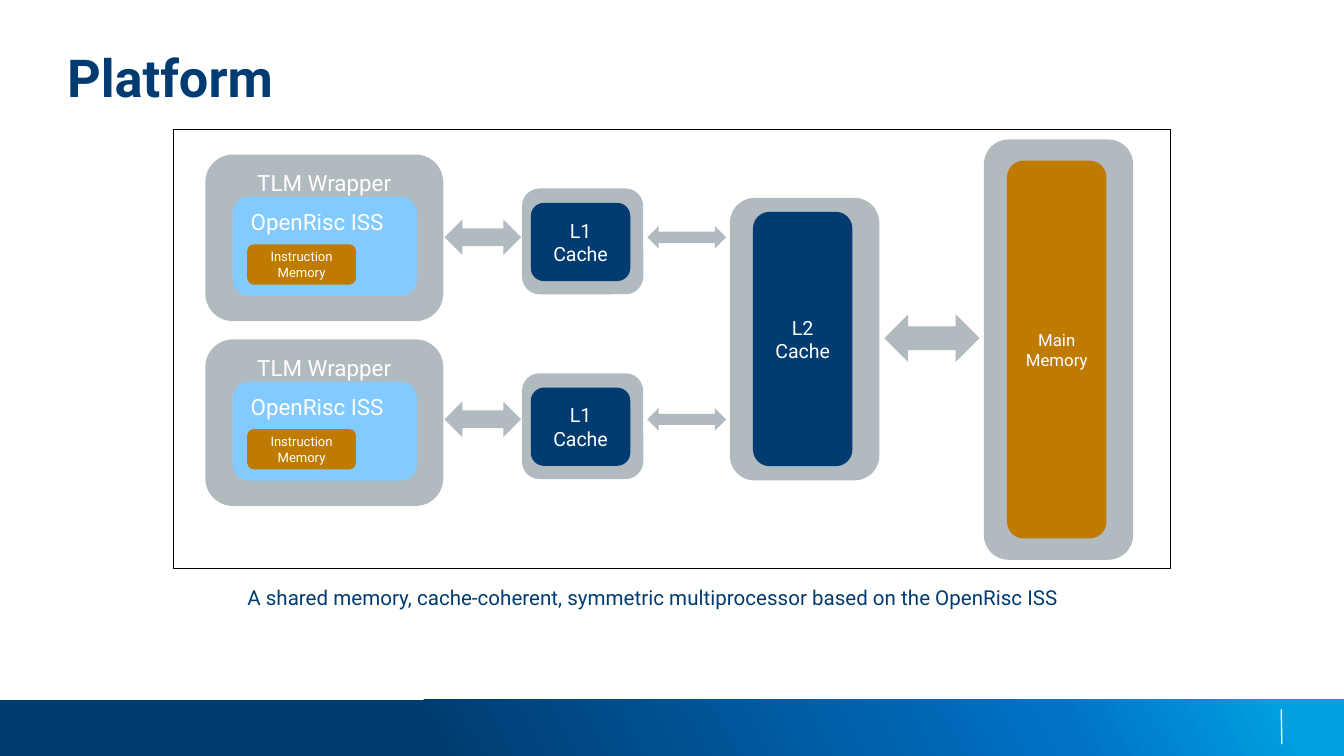
import copy

import lxml.etree
import pptx
import pptx.dml.color
import pptx.enum.shapes
import pptx.enum.text
import pptx.oxml.ns
import pptx.util

Pt = pptx.util.Pt
SHAPE = pptx.enum.shapes.MSO_SHAPE
ALIGN = pptx.enum.text.PP_ALIGN
ANCHOR = pptx.enum.text.MSO_ANCHOR

NAVY, SKY, AMBER, GREY, WHITE = "003C71", "82CAFF", "BF7A00", "B1BABF", "FFFFFF"
BAND_STOPS = [(0.32, NAVY), (0.78, "0071C5"), (0.95, "009FDF")]
CORE_TOPS = [82.8, 181.8]
ARROW_MIDDLES = [127.1, 224.7]


def color(hex_string):
    return pptx.dml.color.RGBColor.from_string(hex_string)


def apply(target, values):
    for name, value in values.items():
        setattr(target, name, value)


def write(frame, text, size, ink=WHITE, bold=False, align=ALIGN.LEFT, **frame_format):
    apply(frame, {"word_wrap": True, **frame_format})
    paragraph = frame.paragraphs[0]
    paragraph.alignment = align
    run = paragraph.add_run()
    run.text = text
    apply(run.font, {"name": "Roboto", "size": Pt(size), "bold": bold})
    run.font.color.rgb = color(ink)


def add_figure(slide, kind, left, top, width, height, fill):
    figure = slide.shapes.add_shape(kind, Pt(left), Pt(top), Pt(width), Pt(height))
    figure.shadow.inherit = False
    figure.fill.solid()
    figure.fill.fore_color.rgb = color(fill)
    figure.line.fill.background()
    return figure


def add_block(slide, left, top, width, height, fill, text=None, size=10.5,
              align=ALIGN.CENTER, anchor=ANCHOR.MIDDLE):
    block = add_figure(slide, SHAPE.ROUNDED_RECTANGLE, left, top, width, height, fill)
    if text:
        write(block.text_frame, text, size, align=align, vertical_anchor=anchor)


def add_bus(slide, left, middle, width, height):
    add_figure(slide, SHAPE.LEFT_RIGHT_ARROW, left, middle - height / 2, width, height, GREY)


def add_label(slide, left, top, width, height, text, size, **text_format):
    box = slide.shapes.add_textbox(Pt(left), Pt(top), Pt(width), Pt(height))
    margins = {f"margin_{side}": 0 for side in ("left", "top", "right", "bottom")}
    write(box.text_frame, text, size, NAVY, vertical_anchor=ANCHOR.TOP,
          **margins, **text_format)


def add_footer(slide):
    band = add_figure(slide, SHAPE.RECTANGLE, 0, 375, 720, 30, NAVY)
    band.fill.gradient()
    band.fill.gradient_angle = 29
    stop_list = band._element.spPr.find(".//" + pptx.oxml.ns.qn("a:gsLst"))
    stop_list.append(copy.deepcopy(stop_list[-1]))
    for stop, (position, shade) in zip(band.fill.gradient_stops, BAND_STOPS):
        stop.position = position
        stop.color.rgb = color(shade)
    divider = slide.shapes.add_connector(
        pptx.enum.shapes.MSO_CONNECTOR.STRAIGHT, Pt(686.4), Pt(380), Pt(686.7), Pt(398.7))
    divider.line.color.rgb = color(WHITE)
    divider.line.width = Pt(0.75)
    lxml.etree.SubElement(divider._element.spPr, pptx.oxml.ns.qn("a:effectLst"))


def add_core(slide, top):
    add_block(slide, 110, top, 127.5, 89.3, GREY, "TLM Wrapper", 12, anchor=ANCHOR.TOP)
    add_block(slide, 124.6, top + 22.6, 98.9, 53.1, SKY, "OpenRisc ISS", 12,
              ALIGN.LEFT, ANCHOR.TOP)
    add_block(slide, 132.4, top + 48.1, 58.3, 21.6, AMBER, "Instruction Memory", 7)
    add_block(slide, 279.6, top + 18.2, 65, 56.7, GREY)
    add_block(slide, 284.4, top + 25.9, 53.3, 41.9, NAVY, "L1 Cache")


def main():
    deck = pptx.Presentation()
    apply(deck, {"slide_width": Pt(720), "slide_height": Pt(405)})
    slide = deck.slides.add_slide(deck.slide_layouts[6])

    add_footer(slide)
    border = add_figure(slide, SHAPE.RECTANGLE, 92.9, 69.3, 534.2, 235.2, WHITE)
    border.line.color.rgb = color("000000")
    border.line.width = Pt(0.25)

    add_block(slide, 527.1, 74.7, 80, 225.2, GREY)
    add_block(slide, 539.5, 86.1, 53.3, 202.4, AMBER, "Main Memory", 9)
    add_block(slide, 391, 106, 80.1, 151.4, GREY)
    add_block(slide, 403.4, 113.5, 53.3, 136.3, NAVY, "L2 Cache")
    add_bus(slide, 473.8, 181.2, 50.9, 25.4)

    for top, middle in zip(CORE_TOPS, ARROW_MIDDLES):
        add_core(slide, top)
        add_bus(slide, 238.2, middle, 41, 19)
        add_bus(slide, 346.8, middle, 42.2, 12)

    add_label(slide, 36, 24.5, 648, 68.4, "Platform", 28, bold=True)
    add_label(slide, 132.5, 313.2, 459.4, 13.7,
              "A shared memory, cache-coherent, symmetric multiprocessor based on the OpenRisc ISS",
              11, word_wrap=False, auto_size=pptx.enum.text.MSO_AUTO_SIZE.SHAPE_TO_FIT_TEXT)
    deck.save("out.pptx")


if __name__ == "__main__":
    main()
